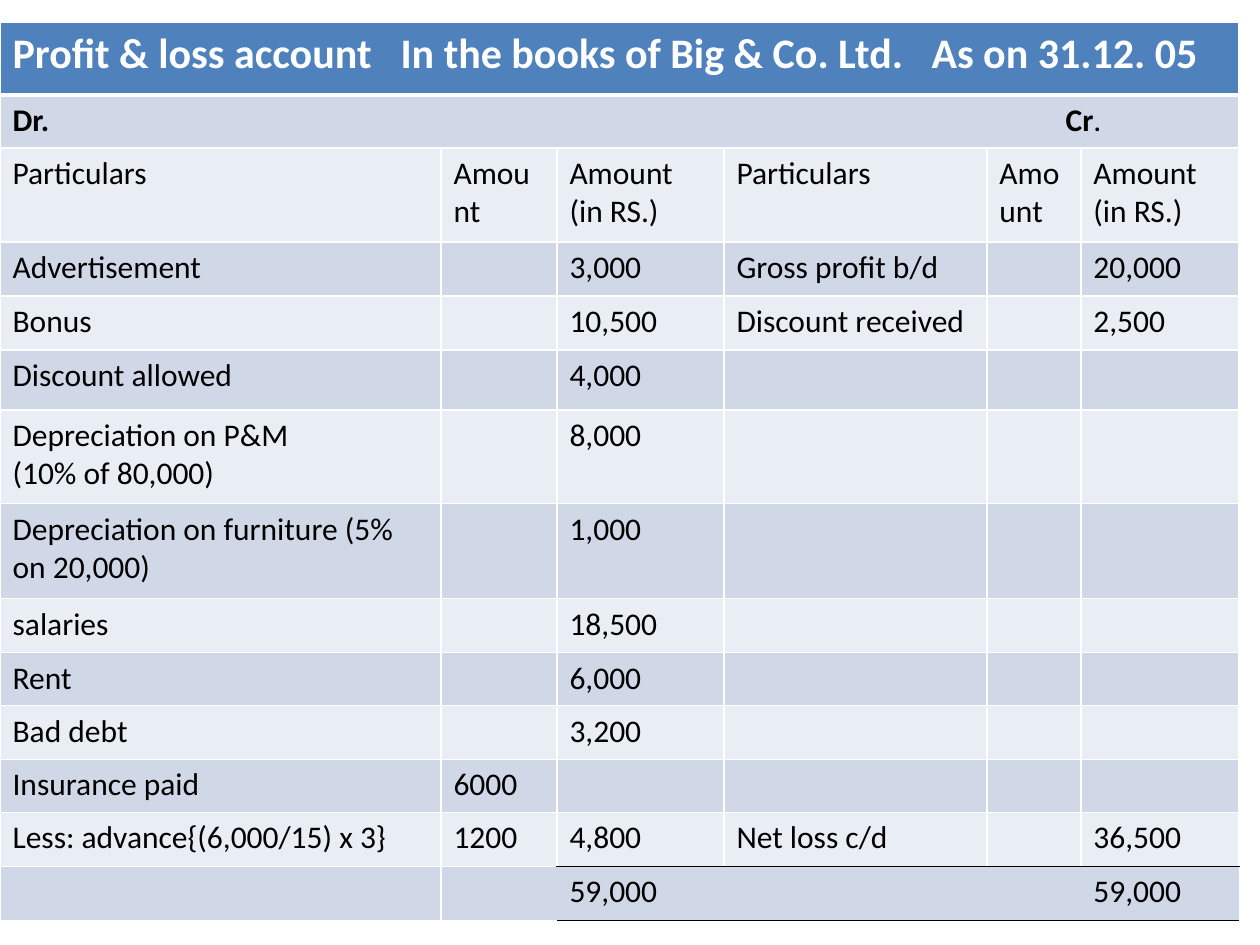
from itertools import pairwise

from lxml.etree import SubElement
from pptx import Presentation
from pptx.dml.color import RGBColor
from pptx.oxml import parse_xml
from pptx.oxml.ns import nsdecls, qn
from pptx.util import Pt

PIXEL = 914400 // 126
FONT = "Calibri"
COLORS = {
    "white": "FFFFFF",
    "black": "000000",
    "header": "4F81BD",
    "dark band": "D0D8E8",
    "light band": "E9EDF4",
}

# Edges of columns and rows, in pixels
COLUMN_EDGES = [0, 441, 557, 724, 987, 1081, 1239]
ROW_EDGES = [22, 95, 148, 242, 296, 350, 410, 504, 599, 653, 706, 760, 813, 867, 921]

TITLE = "Profit & loss account\tIn the books of Big & Co. Ltd.\tAs on 31.12. 05"
LEDGER = [
    ["Particulars", "Amount", "Amount (in RS.)", "Particulars", "Amount", "Amount (in RS.)"],
    ["Advertisement", "", "3,000", "Gross profit b/d", "", "20,000"],
    ["Bonus", "", "10,500", "Discount received", "", "2,500"],
    ["Discount allowed", "", "4,000"],
    ["Depreciation on P&M\n(10% of 80,000)", "", "8,000"],
    ["Depreciation on furniture (5% on 20,000)", "", "1,000"],
    ["salaries", "", "18,500"],
    ["Rent", "", "6,000"],
    ["Bad debt", "", "3,200"],
    ["Insurance paid", "6000"],
    ["Less: advance{(6,000/15) x 3}", "1200", "4,800", "Net loss c/d", "", "36,500"],
    ["", "", "59,000", "", "", "59,000"],
]


def px(value):
    return value * PIXEL


def add_span(para, text, size=18, color="black", bold=False):
    span = para.add_run()
    span.text = text
    font = span.font
    font.name, font.size, font.bold = FONT, Pt(size), bold
    font.color.rgb = RGBColor.from_string(COLORS[color])


def set_tabs(para, stops):
    tab_list = SubElement(para._p.get_or_add_pPr(), qn("a:tabLst"))
    for stop in stops:
        SubElement(tab_list, qn("a:tab"), pos=str(px(stop)), algn="l")


def set_border(cell, sides):
    """Sides maps L, R, T and B to a colour and width, or None for no line."""
    properties = cell._tc.get_or_add_tcPr()
    for place, side in enumerate("LRTB"):
        color, width = sides[side] or (None, 1)
        paint = (f'<a:solidFill><a:srgbClr val="{COLORS[color]}"/></a:solidFill>'
                 if color else "<a:noFill/>")
        line = parse_xml(f'<a:ln{side} {nsdecls("a")} w="{Pt(width)}">{paint}</a:ln{side}>')
        properties.insert(place, line)


def fill_cell(cell, color):
    cell.fill.solid()
    cell.fill.fore_color.rgb = RGBColor.from_string(COLORS[color])


def border_sides(row, column, last_row):
    sides = dict.fromkeys("LRTB", ("white", 1))
    if row == 0:
        sides["B"] = ("white", 3)
    elif row == 1:
        sides["T"] = ("white", 3)
    # Totals are ruled in black above and below, without inner lines
    if row == last_row - 1 and column >= 2:
        sides["B"] = ("black", 1)
    elif row == last_row and column >= 2:
        sides = {"L": None, "R": None, "T": ("black", 1), "B": ("black", 1)}
    elif row == last_row and column == 1:
        sides["R"] = None
    return sides


def add_ledger_table(page):
    rows, columns = len(ROW_EDGES) - 1, len(COLUMN_EDGES) - 1
    frame = page.shapes.add_table(
        rows, columns, px(COLUMN_EDGES[0]), px(ROW_EDGES[0]),
        px(COLUMN_EDGES[-1] - COLUMN_EDGES[0]), px(ROW_EDGES[-1] - ROW_EDGES[0]))
    table = frame.table
    for column, (left, right) in zip(table.columns, pairwise(COLUMN_EDGES)):
        column.width = px(right - left)
    for row, (top, bottom) in zip(table.rows, pairwise(ROW_EDGES)):
        row.height = px(bottom - top)

    # Fills and borders
    for row in range(rows):
        band = "header" if row == 0 else "dark band" if row % 2 else "light band"
        for column in range(columns):
            cell = table.cell(row, column)
            fill_cell(cell, band)
            set_border(cell, border_sides(row, column, rows - 1))

    # Heading rows across the whole table
    for row in range(2):
        table.cell(row, 0).merge(table.cell(row, columns - 1))
    title = table.cell(0, 0).text_frame.paragraphs[0]
    set_tabs(title, [388, 919])
    add_span(title, TITLE, size=24, color="white", bold=True)
    sides = table.cell(1, 0).text_frame.paragraphs[0]
    set_tabs(sides, [1053])
    add_span(sides, "Dr.\tCr", bold=True)
    add_span(sides, ".")

    # Entries
    for row, entries in enumerate(LEDGER, start=2):
        for column, entry in enumerate(entries):
            text_frame = table.cell(row, column).text_frame
            for number, text in enumerate(entry.split("\n") if entry else []):
                para = text_frame.add_paragraph() if number else text_frame.paragraphs[0]
                add_span(para, text)


def main():
    deck = Presentation()
    deck.slide_width, deck.slide_height = px(1260), px(945)
    page = deck.slides.add_slide(deck.slide_layouts[6])
    add_ledger_table(page)
    deck.save("out.pptx")


main()
